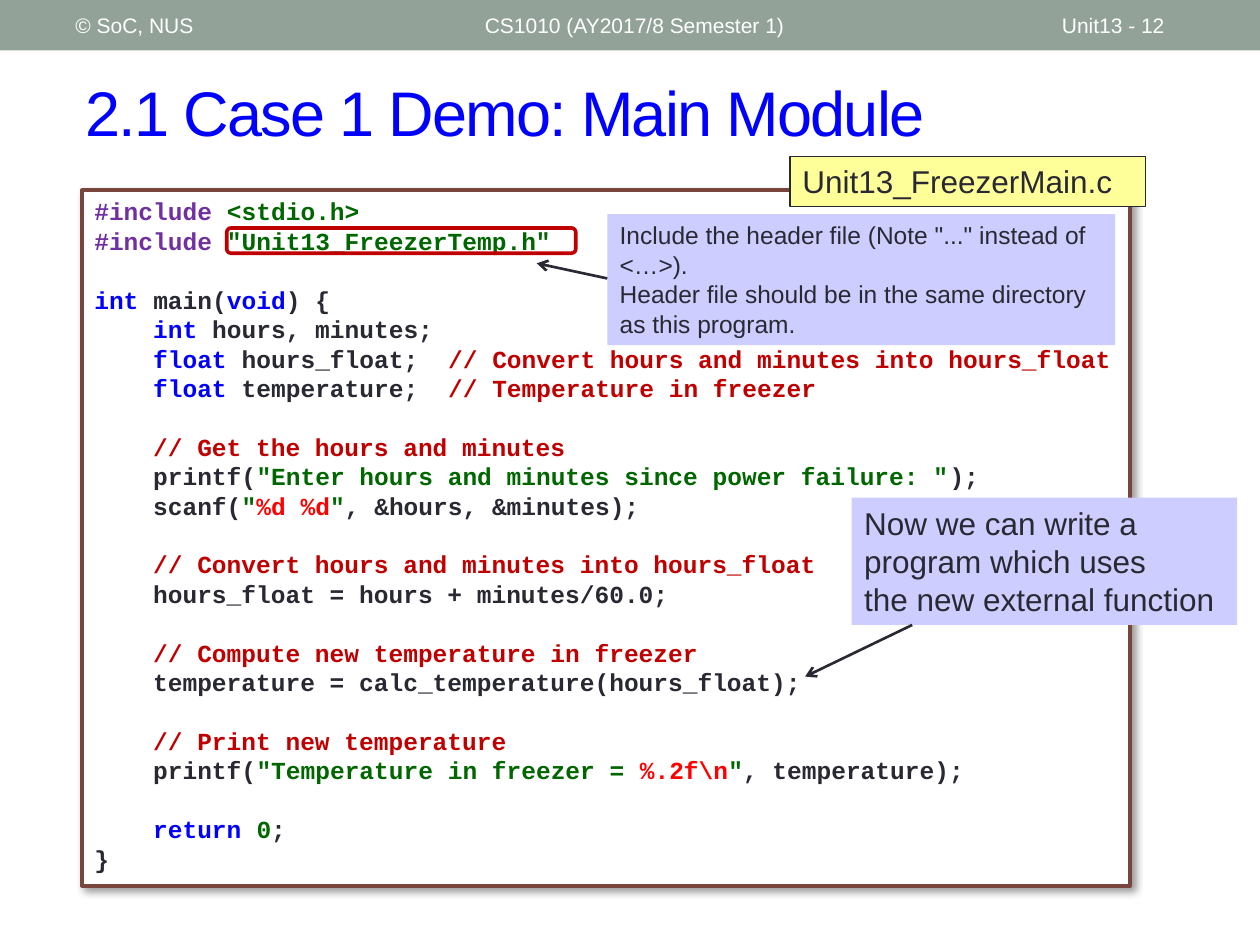
from lxml.etree import SubElement
from pptx import Presentation
from pptx.dml.color import RGBColor
from pptx.enum.shapes import MSO_CONNECTOR, MSO_SHAPE
from pptx.enum.text import MSO_ANCHOR, PP_ALIGN
from pptx.oxml.ns import qn
from pptx.util import Inches, Pt

COLORS = {
    "bar": "93A299", "white": "FFFFFF", "title": "0000FF", "border": "79463D",
    "directive": "7030A0", "string": "006600", "keyword": "0000FF",
    "plain": "292934", "comment": "C00000", "format": "FF0000",
    "label": "FFFF99", "callout": "CDCDFF", "shadow": "000000",
}

CODE = [
    [("#include ", "directive"), ("<stdio.h>", "string")],
    [("#include ", "directive"), ('"Unit13_FreezerTemp.h"', "string")],
    [],
    [("int", "keyword"), (" main(", "plain"), ("void", "keyword"), (") {", "plain")],
    [("    int", "keyword"), (" hours, minutes;", "plain")],
    [("    float ", "keyword"), ("hours_float;  ", "plain"),
     ("// Convert hours and minutes into hours_float", "comment")],
    [("    float", "keyword"), (" temperature;  ", "plain"),
     ("// Temperature in freezer", "comment")],
    [],
    [("    // Get the hours and minutes", "comment")],
    [("    printf(", "plain"),
     ('"Enter hours and minutes since power failure: "', "string"), (");", "plain")],
    [("    scanf(", "plain"), ('"', "string"), ("%d %d", "format"), ('"', "string"),
     (", &hours, &minutes);", "plain")],
    [],
    [("    // Convert hours and minutes into hours_float", "comment")],
    [("    hours_float = hours + minutes/60.0;", "plain")],
    [],
    [("    // Compute new temperature in freezer", "comment")],
    [("    temperature = calc_temperature(hours_float);", "plain")],
    [],
    [("    // Print new temperature", "comment")],
    [("    printf(", "plain"), ('"Temperature in freezer = ', "string"),
     ("%.2f\\n", "format"), ('"', "string"), (", temperature);", "plain")],
    [],
    [("    return ", "keyword"), ("0", "string"), (";", "plain")],
    [("}", "plain")],
]


def color(name):
    """Return the named colour."""
    return RGBColor.from_string(COLORS[name])


def style_font(font, size, color_name, name="Arial", bold=False):
    """Set the face, size and colour of a font."""
    font.name, font.size, font.bold = name, Pt(size), bold
    font.color.rgb = color(color_name)


def add_box(slide, box, fill=None, line=None, line_width=0.75, kind=MSO_SHAPE.RECTANGLE):
    """Add a flat shape with top-left text."""
    shape = slide.shapes.add_shape(kind, *map(Inches, box))
    shape.shadow.inherit = False
    if fill:
        shape.fill.solid()
        shape.fill.fore_color.rgb = color(fill)
    else:
        shape.fill.background()
    if line:
        shape.line.color.rgb = color(line)
        shape.line.width = Pt(line_width)
    else:
        shape.line.fill.background()
    shape.text_frame.word_wrap = True
    shape.text_frame.vertical_anchor = MSO_ANCHOR.TOP
    return shape


def add_note(slide, box, text, size, fill, line=None):
    """Add a filled box holding a few lines of text."""
    text_frame = add_box(slide, box, fill, line).text_frame
    text_frame.text = text
    for paragraph in text_frame.paragraphs:
        paragraph.alignment = PP_ALIGN.LEFT
        paragraph.line_spacing = Pt(size * 1.2)
        for run in paragraph.runs:
            style_font(run.font, size, "plain")


def add_arrow(slide, start, end):
    """Add a line with an open arrowhead at its end."""
    connector = slide.shapes.add_connector(
        MSO_CONNECTOR.STRAIGHT, *map(Inches, (*start, *end)))
    connector.line.color.rgb = color("plain")
    connector.line.width = Pt(1.5)
    SubElement(connector.line._get_or_add_ln(), qn("a:tailEnd"), type="arrow")
    SubElement(connector._element.spPr, qn("a:effectLst"))


def add_shadow(shape):
    """Give a shape a soft shadow towards the lower right."""
    effects = shape._element.spPr.find(qn("a:effectLst"))
    shadow = SubElement(effects, qn("a:outerShdw"), blurRad=str(Pt(4)), dist=str(Pt(3)),
                        dir="2700000", algn="tl", rotWithShape="0")
    shade = SubElement(shadow, qn("a:srgbClr"), val=COLORS["shadow"])
    SubElement(shade, qn("a:alpha"), val="40000")


def build_header(slide, box):
    """Place the top bar and its three texts."""
    left, top, width, height = box
    add_box(slide, box, "bar")
    for text, offset, text_width in (
        ("© SoC, NUS", 0.5, 3.17),
        ("CS1010 (AY2017/8 Semester 1)", 3.75, 4.5),
        ("Unit13 - 12", 8.33, 1.17),
    ):
        text_box = slide.shapes.add_textbox(
            *map(Inches, (left + offset, top + 0.02, text_width, height - 0.04)))
        text_frame = text_box.text_frame
        text_frame.word_wrap = True
        text_frame.vertical_anchor = MSO_ANCHOR.MIDDLE
        text_frame.text = text
        style_font(text_frame.paragraphs[0].runs[0].font, 12, "white")


def build_title(slide, box):
    """Move and format the title placeholder."""
    title = slide.shapes.title
    title.left, title.top, title.width, title.height = map(Inches, box)
    title.text_frame.text = "2.1 Case 1 Demo: Main Module"
    title.text_frame.vertical_anchor = MSO_ANCHOR.MIDDLE
    paragraph = title.text_frame.paragraphs[0]
    paragraph.alignment = PP_ALIGN.LEFT
    run = paragraph.runs[0]
    style_font(run.font, 36, "title")
    run.font._element.set("spc", "-100")


def build_code(slide, box):
    """Place the program listing, its file name and the header highlight."""
    left, top, width, height = box
    listing = add_box(slide, box, "white", "border", 2.08)
    add_shadow(listing)
    text_frame = listing.text_frame
    for index, pieces in enumerate(CODE):
        paragraph = text_frame.add_paragraph() if index else text_frame.paragraphs[0]
        paragraph.alignment = PP_ALIGN.LEFT
        paragraph.line_spacing = Pt(16.8)
        style_font(paragraph.font, 14, "plain", "Courier New", True)
        for text, color_name in pieces:
            run = paragraph.add_run()
            run.text = text
            style_font(run.font, 14, color_name, "Courier New", True)
    add_note(slide, (left + width - 2.7, top - 0.27, 2.82, 0.4),
             "Unit13_FreezerMain.c", 18, "label", "plain")
    add_box(slide, (left + 1.15, top + 0.3, 2.77, 0.2), line="comment",
            line_width=2.08, kind=MSO_SHAPE.ROUNDED_RECTANGLE)


def build_callout(slide, box, text, size, start, end):
    """Place a callout and its arrow, whose ends are offsets from the box corner."""
    left, top = box[:2]
    add_note(slide, box, text, size, "callout")
    add_arrow(slide, *((left + x, top + y) for x, y in (start, end)))


def main():
    """Build and save the slide."""
    presentation = Presentation()
    presentation.slide_width, presentation.slide_height = Inches(10), Inches(7.5)
    slide = presentation.slides.add_slide(presentation.slide_layouts[5])
    build_header(slide, (0, 0, 10, 0.4))
    build_title(slide, (0.58, 0.42, 9.17, 0.92))
    build_code(slide, (0.65, 1.51, 8.32, 5.52))
    build_callout(
        slide, (6.76, 3.95, 3.06, 1.01),
        "Now we can write a\vprogram which uses\nthe new external function",
        18, (0.48, 1.01), (-0.37, 1.42))
    build_callout(
        slide, (4.82, 1.7, 4.03, 1.04),
        'Include the header file (Note "..." instead of <…>).\n'
        "Header file should be in the same directory as this program.",
        14, (0, 0.51), (-0.56, 0.39))
    presentation.save("out.pptx")


if __name__ == "__main__":
    main()
